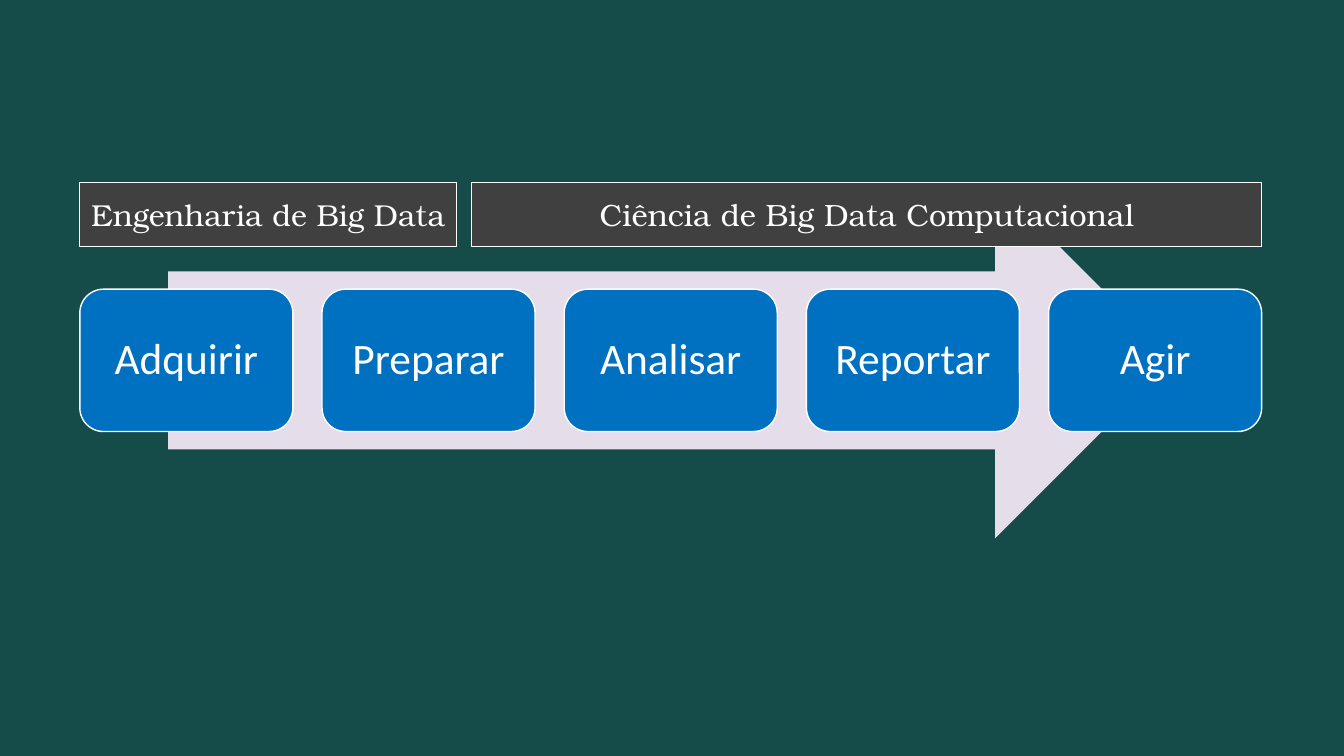
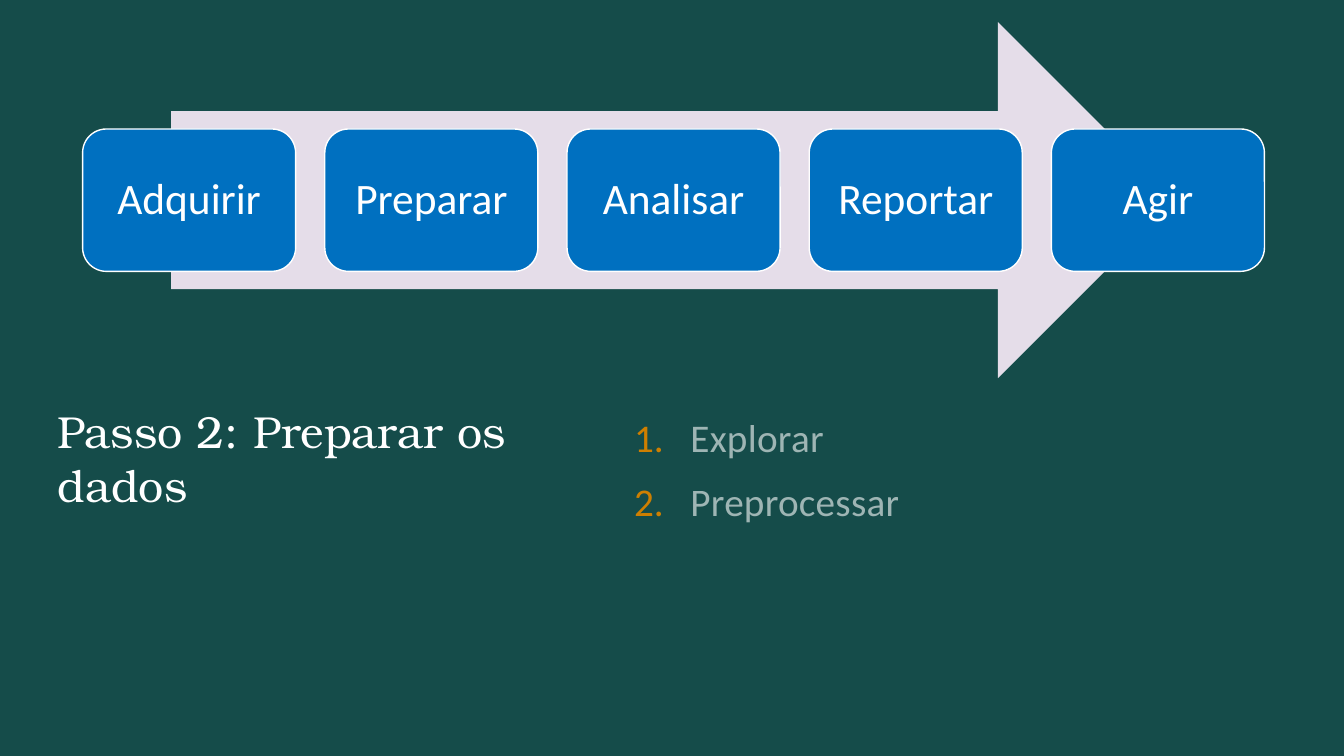
from pptx import Presentation
from pptx.dml.color import RGBColor
from pptx.enum import shapes, text
from pptx.oxml import ns, xmlchemy
from pptx.util import Pt

HUES = {"back": "154C4A", "bar": "404040", "arrow": "E5DDE9",
        "step": "0070C0", "white": "FFFFFF", "mark": "CE7F01"}
SERIF, SANS = "TeX Gyre Bonum", "Calibri"
KIND = shapes.MSO_SHAPE
ALIGN = text.PP_ALIGN

STEPS = ["Adquirir", "Preparar", "Analisar", "Reportar", "Agir"]
BARS = [("Engenharia de Big Data", 57, 269.2, 21.6),
        ("Ciência de Big Data Computacional", 337, 564.4, 22)]
TITLE = "Passo 2: Preparar os dados"
TASKS = ["Explorar", "Preprocessar"]


def hue(name):
    return RGBColor.from_string(HUES[name])


def place(slide, kind, box, fill, line=0):
    shape = slide.shapes.add_shape(kind, *map(Pt, box))
    shape.shadow.inherit = False
    shape.fill.solid()
    shape.fill.fore_color.rgb = hue(fill)
    if line:
        shape.line.color.rgb = hue("white")
        shape.line.width = Pt(line)
    else:
        shape.line.fill.background()
    return shape


def frame(shape, inset=0, anchor=text.MSO_ANCHOR.MIDDLE):
    area = shape.text_frame
    area.word_wrap = True
    area.vertical_anchor = anchor
    area.margin_left = area.margin_right = Pt(inset)
    area.margin_top = area.margin_bottom = Pt(inset)
    return area


def write(para, words, face, size, align=ALIGN.CENTER):
    para.text = words
    para.alignment = align
    para.font.name = face
    para.font.size = Pt(size)
    para.font.color.rgb = hue("white")


def add(parent, tag, **attrs):
    node = xmlchemy.OxmlElement(tag)
    for key, val in attrs.items():
        node.set(key, val)
    parent.append(node)
    return node


def text_box(slide, box):
    return frame(slide.shapes.add_textbox(*map(Pt, box)), 0, text.MSO_ANCHOR.TOP)


def process(slide, left, top):
    wide, high, pitch, tall = 152.2, 101.7, 173, 254.2
    place(slide, KIND.RIGHT_ARROW, (left + 63.2, top, 717.8, tall), "arrow")
    for i, step in enumerate(STEPS):
        box = (left + i * pitch, top + (tall - high) / 2, wide, high)
        area = frame(place(slide, KIND.ROUNDED_RECTANGLE, box, "step", 1), 9.4)
        write(area.paragraphs[0], step, SANS, 31)
        area.paragraphs[0].line_spacing = 0.9


def bars(slide):
    for words, left, wide, size in BARS:
        bar = place(slide, KIND.RECTANGLE, (left, 130.3, wide, 46.1), "bar", 0.75)
        write(frame(bar).paragraphs[0], words, SERIF, size)


def tasks(slide):
    area = text_box(slide, (416.9, 288.7, 484.6, 221.8))
    for i, task in enumerate(TASKS):
        para = area.add_paragraph() if i else area.paragraphs[0]
        props = para._p.get_or_add_pPr()
        props.set("marL", str(Pt(76.3)))
        props.set("indent", str(Pt(-40.3)))
        add(add(props, "a:buClr"), "a:srgbClr", val=HUES["mark"])
        add(props, "a:buFont", typeface="+mj-lt")
        add(props, "a:buAutoNum", type="arabicPeriod")
        write(para, task, SANS, 28, ALIGN.LEFT)
        para.line_spacing = 1.2
        if i:
            para.space_before = Pt(5)
        style = props.find(ns.qn("a:defRPr"))
        style.set("spc", "20")
        add(style.find(".//" + ns.qn("a:srgbClr")), "a:alpha", val="58000")


def main():
    deck = Presentation()
    deck.slide_width, deck.slide_height = Pt(960), Pt(540)
    back = deck.slide_master.background.fill
    back.solid()
    back.fore_color.rgb = hue("back")
    blank = deck.slide_layouts[6]

    flow = deck.slides.add_slide(blank)
    process(flow, 57, 130.3)
    bars(flow)

    prep = deck.slides.add_slide(blank)
    title = text_box(prep, (41, 288.7, 324.7, 116.6))
    write(title.paragraphs[0], TITLE, SERIF, 32, ALIGN.LEFT)
    tasks(prep)
    process(prep, 59, 15.9)

    deck.save("out.pptx")


if __name__ == "__main__":
    main()
